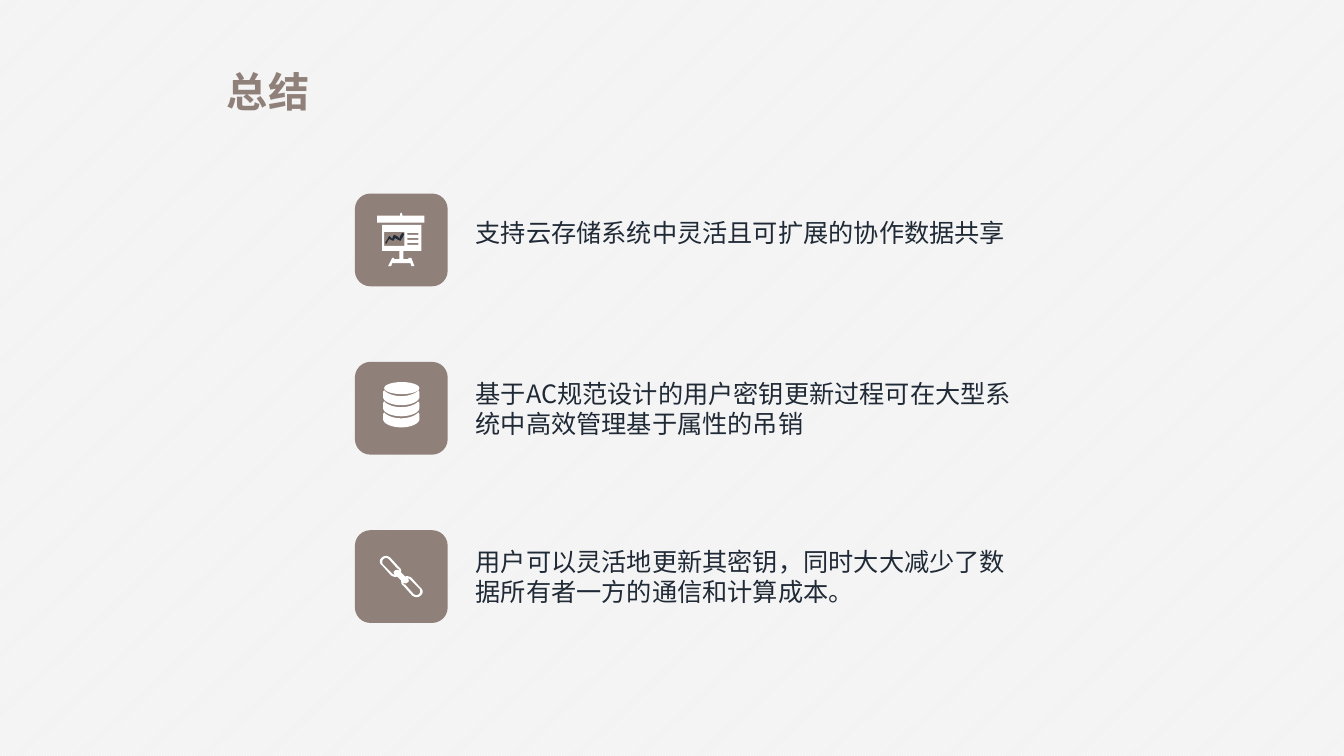
"""Build the summary slide: a title and three icon rows."""
from dataclasses import dataclass

from pptx import Presentation
from pptx.dml.color import RGBColor
from pptx.enum import dml, shapes, text
from pptx.oxml import xmlchemy
from pptx.util import Inches, Pt


@dataclass(frozen=True)
class Theme:
    """Colours, fonts and type sizes."""
    accent: RGBColor = RGBColor(0x90, 0x80, 0x7A)
    ink: RGBColor = RGBColor(0x20, 0x2A, 0x36)
    white: RGBColor = RGBColor(0xFF, 0xFF, 0xFF)
    background: RGBColor = RGBColor(0xF2, 0xF2, 0xF2)
    title_font: str = "Arial"
    body_font: str = "Noto Sans CJK SC"
    title_size: float = 29.4
    body_size: float = 18


def set_values(target, values):
    """Set each attribute in a dict of format values."""
    for name, value in values.items():
        setattr(target, name, value)


def box(left, top, width, height):
    """Return the corners of a rectangle."""
    right, bottom = left + width, top + height
    return [(left, top), (right, top), (right, bottom), (left, bottom)]


def flatten(steps, count=8):
    """Turn points and cubic curves (six numbers) into a list of points."""
    points = [steps[0]]
    for step in steps[1:]:
        if len(step) == 2:
            points.append(step)
            continue
        controls = [points[-1], step[:2], step[2:4], step[4:]]
        for index in range(1, count + 1):
            t = index / count
            weights = ((1 - t) ** 3, 3 * t * (1 - t) ** 2, 3 * t * t * (1 - t), t ** 3)
            points.append(tuple(sum(w * point[axis] for w, point in zip(weights, controls))
                                for axis in (0, 1)))
    return points


def rotate_half_turn(points, centre):
    """Return the points turned by 180 degrees about a centre."""
    return [(2 * centre[0] - x, 2 * centre[1] - y) for x, y in points]


class SlideBuilder:
    """Holds the theme and the current slide."""

    def __init__(self, presentation, theme):
        """Add a title-only slide with a hatched background."""
        self.theme = theme
        self.slide = presentation.slides.add_slide(presentation.slide_layouts[5])
        fill = self.slide.background.fill
        fill.patterned()
        fill.pattern = dml.MSO_PATTERN.LIGHT_UPWARD_DIAGONAL
        fill.fore_color.rgb = theme.white
        fill.back_color.rgb = theme.background

    def set_text(self, shape, words, font, size, color, bold=False, wrap=True):
        """Fill a text frame with one left-aligned paragraph."""
        frame = shape.text_frame
        set_values(frame, {
            "word_wrap": wrap, "auto_size": text.MSO_AUTO_SIZE.SHAPE_TO_FIT_TEXT,
            "vertical_anchor": text.MSO_ANCHOR.TOP,
            "margin_left": Inches(0.1), "margin_right": Inches(0.1),
            "margin_top": Inches(0.05), "margin_bottom": Inches(0.05)})
        paragraph = frame.paragraphs[0]
        paragraph.alignment = text.PP_ALIGN.LEFT
        run = paragraph.add_run()
        run.text = words
        set_values(run.font, {"name": font, "size": Pt(size), "bold": bold})
        run.font.color.rgb = color
        east_asian = xmlchemy.OxmlElement("a:ea")
        east_asian.set("typeface", self.theme.body_font)
        run._r.get_or_add_rPr().append(east_asian)

    def title(self, words, left, top, width, height):
        """Place and format the title placeholder."""
        shape = self.slide.shapes.title
        set_values(shape, {"left": Inches(left), "top": Inches(top),
                           "width": Inches(width), "height": Inches(height)})
        self.set_text(shape, words, self.theme.title_font, self.theme.title_size,
                      self.theme.accent, bold=True, wrap=False)

    def body(self, words, left, top, width, height):
        """Add a wrapped text box."""
        shape = self.slide.shapes.add_textbox(*map(Inches, (left, top, width, height)))
        self.set_text(shape, words, self.theme.body_font, self.theme.body_size, self.theme.ink)

    def paint(self, shape, color):
        """Give a shape a plain fill without line or shadow."""
        shape.shadow.inherit = False
        shape.fill.solid()
        shape.fill.fore_color.rgb = color
        shape.line.fill.background()

    def preset(self, kind, left, top, width, height, color):
        """Add a preset shape."""
        shape = self.slide.shapes.add_shape(kind, *map(Inches, (left, top, width, height)))
        self.paint(shape, color)

    def outline(self, contours, color):
        """Add one freeform; contours after the first are holes."""
        contours = [[(Inches(x), Inches(y)) for x, y in contour] for contour in contours]
        builder = self.slide.shapes.build_freeform(*contours[0][0], scale=1.0)
        for index, contour in enumerate(contours):
            if index:
                builder.move_to(*contour[0])
            builder.add_line_segments(contour[1:], close=True)
        self.paint(builder.convert_to_shape(), color)


def draw_board(builder):
    """Draw the presentation board icon."""
    rail = flatten([(3.74, 2.14), (3.97, 2.14), (3.97, 2.13),
                    (3.97, 2.12, 3.97, 2.11, 3.98, 2.11),
                    (3.98, 2.11, 3.99, 2.12, 3.99, 2.13),
                    (3.99, 2.14), (4.21, 2.14), (4.21, 2.21), (3.74, 2.21)])
    builder.outline([rail], builder.theme.white)
    stand = [(4.18, 2.49), (4.18, 2.23), (3.79, 2.23), (3.79, 2.49), (3.96, 2.49),
             (3.96, 2.57), (3.91, 2.57), (3.91, 2.56), (3.89, 2.56), (3.85, 2.64),
             (3.88, 2.64), (3.89, 2.61), (4.07, 2.61), (4.08, 2.64), (4.11, 2.64),
             (4.08, 2.56), (4.05, 2.56), (4.05, 2.57), (4, 2.57), (4, 2.49)]
    text_lines = [box(4.04, 2.31 + 0.05 * row, 0.11, 0.02) for row in range(3)]
    builder.outline([stand, *text_lines, box(3.81, 2.3, 0.2, 0.14)], builder.theme.white)
    trend = [(3.97, 2.34), (3.96, 2.37), (3.95, 2.35), (3.91, 2.33), (3.9, 2.34),
             (3.89, 2.37), (3.86, 2.34), (3.85, 2.36), (3.82, 2.41), (3.83, 2.42),
             (3.86, 2.37), (3.88, 2.38), (3.9, 2.39), (3.92, 2.36), (3.93, 2.37),
             (3.97, 2.39), (3.99, 2.36), (4.01, 2.32), (3.99, 2.31)]
    builder.outline([trend], builder.theme.ink)


def draw_database(builder):
    """Draw the database icon: three bands under an elliptical lid."""
    band = flatten([(3.81, 0), (3.83, 0.03, 3.9, 0.06, 3.98, 0.06),
                    (4.06, 0.06, 4.13, 0.03, 4.15, 0), (4.15, 0.01, 4.16, 0.01, 4.16, 0.02),
                    (4.16, 0.07), (4.16, 0.11, 4.08, 0.15, 3.98, 0.15),
                    (3.88, 0.15, 3.8, 0.11, 3.8, 0.07), (3.8, 0.02),
                    (3.8, 0.01, 3.81, 0.01, 3.81, 0)])
    for row in range(3):
        builder.outline([[(x, y + 3.87 + 0.11 * row) for x, y in band]], builder.theme.white)
    builder.preset(shapes.MSO_SHAPE.OVAL, 3.81, 3.79, 0.35, 0.12, builder.theme.white)


def draw_chain(builder):
    """Draw the chain icon: one link and its half-turn twin."""
    centre = (3.98, 5.72)
    link = flatten([(4.17, 5.83), (4.08, 5.73), (4.06, 5.72, 4.04, 5.71, 4.02, 5.72),
                    (3.98, 5.68), (3.98, 5.66, 3.98, 5.64, 3.96, 5.63), (3.87, 5.53),
                    (3.84, 5.51, 3.81, 5.51, 3.79, 5.53), (3.76, 5.55, 3.76, 5.59, 3.79, 5.61)])
    hole = flatten([(3.89, 5.69), (3.8, 5.6), (3.79, 5.59, 3.79, 5.56, 3.8, 5.55),
                    (3.82, 5.53, 3.84, 5.53, 3.86, 5.55), (3.94, 5.64),
                    (3.95, 5.64, 3.96, 5.65, 3.96, 5.66), (3.94, 5.65, 3.93, 5.65, 3.92, 5.66),
                    (3.9, 5.67, 3.9, 5.69, 3.92, 5.7), (3.91, 5.7, 3.9, 5.7, 3.89, 5.69)])
    builder.outline([link + rotate_half_turn(link, centre), hole,
                     rotate_half_turn(hole, centre)], builder.theme.white)


def main():
    """Build and save the slide."""
    presentation = Presentation()
    set_values(presentation, {"slide_width": Inches(13.33), "slide_height": Inches(7.5)})
    builder = SlideBuilder(presentation, Theme())
    builder.title("总结", 2.15, 0.61, 1.02, 0.59)
    rows = [(draw_board, "支持云存储系统中灵活且可扩展的协作数据共享", 2.11, 0.4),
            (draw_database, "基于AC规范设计的用户密钥更新过程可在大型系统中高效管理基于属性的吊销", 3.7, 0.71),
            (draw_chain, "用户可以灵活地更新其密钥，同时大大减少了数据所有者一方的通信和计算成本。", 5.37, 0.71)]
    for index, (draw_icon, words, top, height) in enumerate(rows):
        builder.preset(shapes.MSO_SHAPE.ROUNDED_RECTANGLE, 3.52, 1.92 + 1.67 * index,
                       0.92, 0.92, builder.theme.accent)
        draw_icon(builder)
        builder.body(words, 4.62, top, 5.56, height)
    presentation.save("out.pptx")


main()
